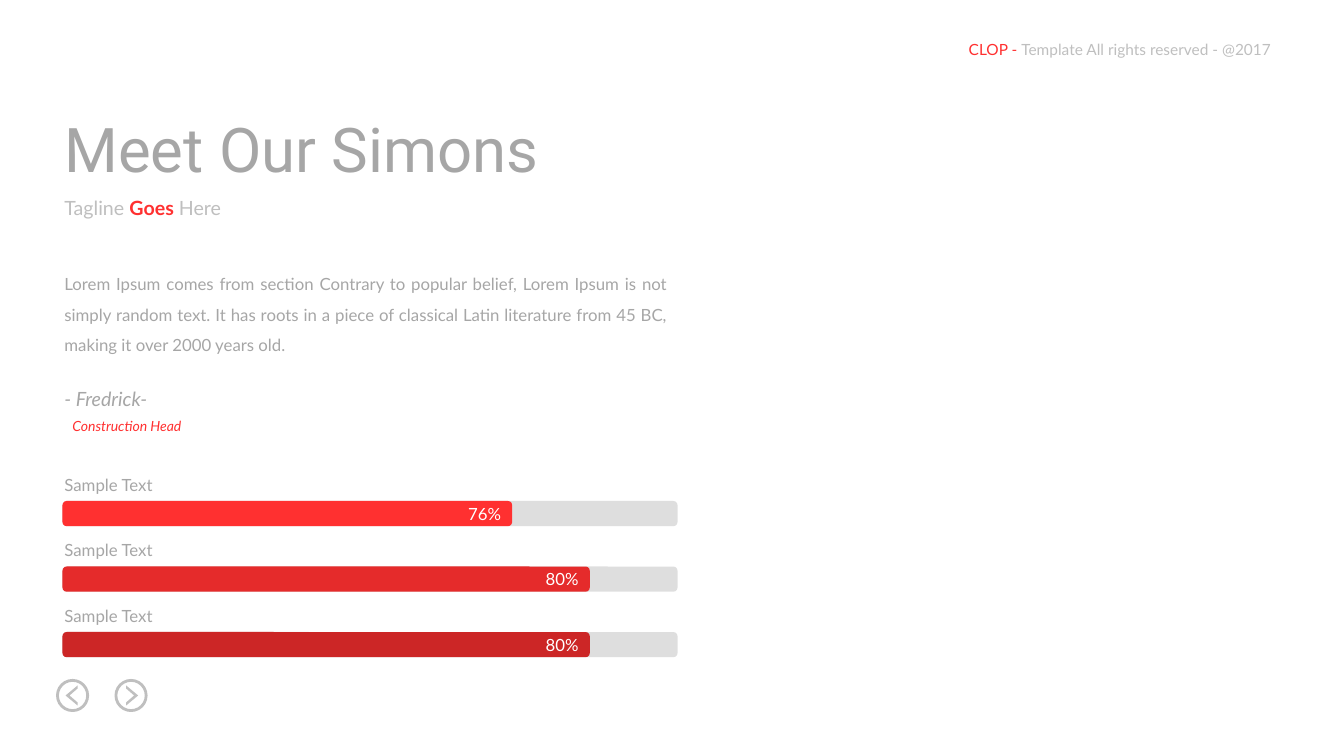
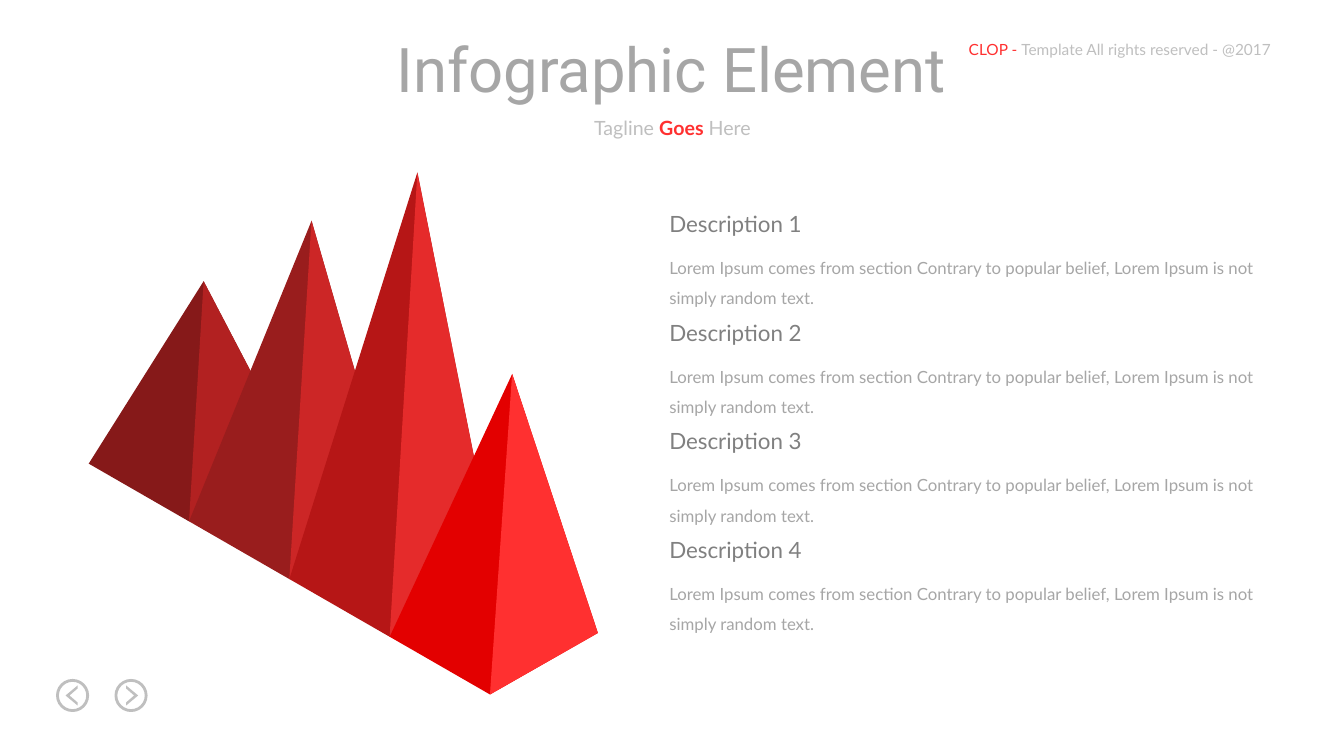
from pptx import Presentation
from pptx import util as u
from pptx.dml.color import RGBColor
from pptx.enum import shapes, text
from pptx.oxml.ns import qn
from lxml import etree

COLORS = {
    "red": "FF3030", "red2": "E52B2B", "red3": "CC2626", "white": "FFFFFF",
    "pale": "BFBFBF", "body": "A6A6A6", "heading": "808080",
}
LEFT, CENTER, RIGHT, JUSTIFY = (
    text.PP_ALIGN.LEFT, text.PP_ALIGN.CENTER, text.PP_ALIGN.RIGHT, text.PP_ALIGN.JUSTIFY)
LOREM = "Lorem Ipsum comes from section Contrary to popular belief, Lorem Ipsum is not simply random text."
STORY = LOREM + (" It has roots in a piece of classical Latin literature from 45 BC, "
                 "making it over 2000 years old.")


def rgb(color):
    return RGBColor.from_string(COLORS.get(color, color))


def box(*lengths):
    return [u.Inches(v) for v in lengths]


# Text
def write(tf, runs, size, align=LEFT, font="Lato", spacing=None, wrap=False, italic=False):
    """Fill a text frame; each run is (text, color) or (text, color, bold)."""
    tf.word_wrap = wrap
    tf.auto_size = text.MSO_AUTO_SIZE.NONE
    p = tf.paragraphs[0]
    p.alignment = align
    if spacing:
        p.line_spacing = spacing
    for words, color, *bold in runs:
        r = p.add_run()
        r.text = words
        r.font.name, r.font.size = font, u.Pt(size)
        r.font.bold, r.font.italic = bool(bold), italic
        r.font.color.rgb = rgb(color)


def add_text(s, at, runs, size, **style):
    sp = s.shapes.add_textbox(*box(*at))
    write(sp.text_frame, runs, size, **style)
    return sp


def add_heading(s, title, left, top, width, tag_left, align):
    sp = s.shapes.title
    sp.left, sp.top, sp.width, sp.height = box(left, top, width, 0.84)
    sp.text_frame.vertical_anchor = text.MSO_ANCHOR.TOP
    write(sp.text_frame, [(title, "body")], 44, align=align, font="Roboto")
    tagline = [("Tagline ", "pale"), ("Goes ", "red", True), ("Here", "pale")]
    add_text(s, (tag_left, top + 0.84, 1.8, 0.34), tagline, 14, align=align)


# Shapes
def paint(sp, color):
    sp.shadow.inherit = False
    sp.fill.solid()
    sp.fill.fore_color.rgb = rgb(color)
    sp.line.fill.background()
    return sp


def add_polygon(s, points, color):
    start, *rest = [box(*point) for point in points]
    builder = s.shapes.build_freeform(*start)
    builder.add_line_segments(rest, close=True)
    return paint(builder.convert_to_shape(), color)


def add_bar(s, top, width, color):
    return paint(s.shapes.add_shape(
        shapes.MSO_SHAPE.ROUNDED_RECTANGLE, *box(0.62, top, width, 0.25)), color)


def add_progress(s, top, width, color, label):
    track = add_bar(s, top, 6.1, "pale")
    tint = track.fill._xPr.find(qn("a:solidFill"))[0]
    etree.SubElement(tint, qn("a:alpha"), val="50000")
    tf = add_bar(s, top, width, color).text_frame
    tf.margin_top = tf.margin_bottom = 0
    tf.vertical_anchor = text.MSO_ANCHOR.MIDDLE
    write(tf, [(label, "white")], 12, align=RIGHT, wrap=True)
    add_text(s, (0.54, top - 0.31, 1.12, 0.3), [("Sample Text", "body")], 12)


def add_nav_button(s, cx, direction):
    """Ring with a chevron; direction is -1 for back and 1 for next."""
    cy = 6.9
    ring = s.shapes.add_shape(shapes.MSO_SHAPE.OVAL, *box(cx - 0.15, cy - 0.15, 0.3, 0.3))
    ring.shadow.inherit = False
    ring.fill.background()
    ring.line.color.rgb = rgb("pale")
    ring.line.width = u.Pt(2)
    chevron = [(-0.05, -0.07), (0.03, 0), (-0.05, 0.07), (-0.05, 0.1), (0.07, 0), (-0.05, -0.1)]
    arrow = add_polygon(s, [(cx + direction * x, cy + y) for x, y in chevron], "pale")
    return [ring, arrow]


def build_layout(s):
    """Draw the header line and buttons, then move them to the shared layout."""
    header = [("CLOP - ", "red"), ("Template All rights reserved - @2017", "pale")]
    parts = [add_text(s, (9.51, 0.35, 3.26, 0.29), header, 11)]
    parts += add_nav_button(s, 0.72, -1) + add_nav_button(s, 1.3, 1)
    for sp in parts:
        s.slide_layout.shapes.element.append(sp.element)


# Slides
def team_slide(s):
    add_heading(s, "Meet Our Simons", 0.54, 1.05, 4.94, 0.54, LEFT)
    add_text(s, (0.54, 2.57, 6.18, 0.97), [(STORY, "body")], 12,
             align=JUSTIFY, spacing=1.5, wrap=True)
    add_text(s, (0.54, 3.79, 1.05, 0.34), [("- Fredrick-", "body")], 14, italic=True)
    add_text(s, (0.62, 4.09, 1.3, 0.27), [("Construction Head", "red")], 10, italic=True)
    bars = [(4.46, "red", "76%"), (5.23, "red2", "80%"), (5.23, "red3", "80%")]
    for i, bar in enumerate(bars):
        add_progress(s, 4.97 + 0.65 * i, *bar)


def infographic_slide(s):
    add_heading(s, "Infographic Element", 3.81, 0.26, 5.7, 5.77, CENTER)
    # Pyramids: peak, shaded face, lit face
    pyramids = [((2.02, 2.79), "861919", "B22121"), ((3.09, 2.19), "991D1D", "red3"),
                ((4.14, 1.71), "B61616", "red2"), ((5.08, 3.71), "E30000", "red")]
    base = [(0.88 + 3.98 * i / 4, 4.6 + 2.29 * i / 4) for i in range(5)]
    for i, (peak, shade, light) in enumerate(pyramids):
        back, front = base[i], base[i + 1]
        corner = (front[0] + 1.07, front[1] - 0.61)
        add_polygon(s, [back, peak, corner, front], shade)
        add_polygon(s, [peak, front, corner], light)
    # Descriptions
    for i in range(4):
        top = 2.04 + 3.23 * i / 3
        add_text(s, (6.54, top + 0.37, 6.19, 0.71), [(LOREM, "body")], 12,
                 spacing=1.5, wrap=True)
        add_text(s, (6.54, top, 1.53, 0.37), [(f"Description {i + 1}", "heading")], 16)


def main():
    prs = Presentation()
    prs.slide_width, prs.slide_height = box(13.33, 7.5)
    title_only = prs.slide_layouts[5]
    team, infographic = [prs.slides.add_slide(title_only) for _ in range(2)]
    build_layout(team)
    team_slide(team)
    infographic_slide(infographic)
    prs.save("out.pptx")


if __name__ == "__main__":
    main()
